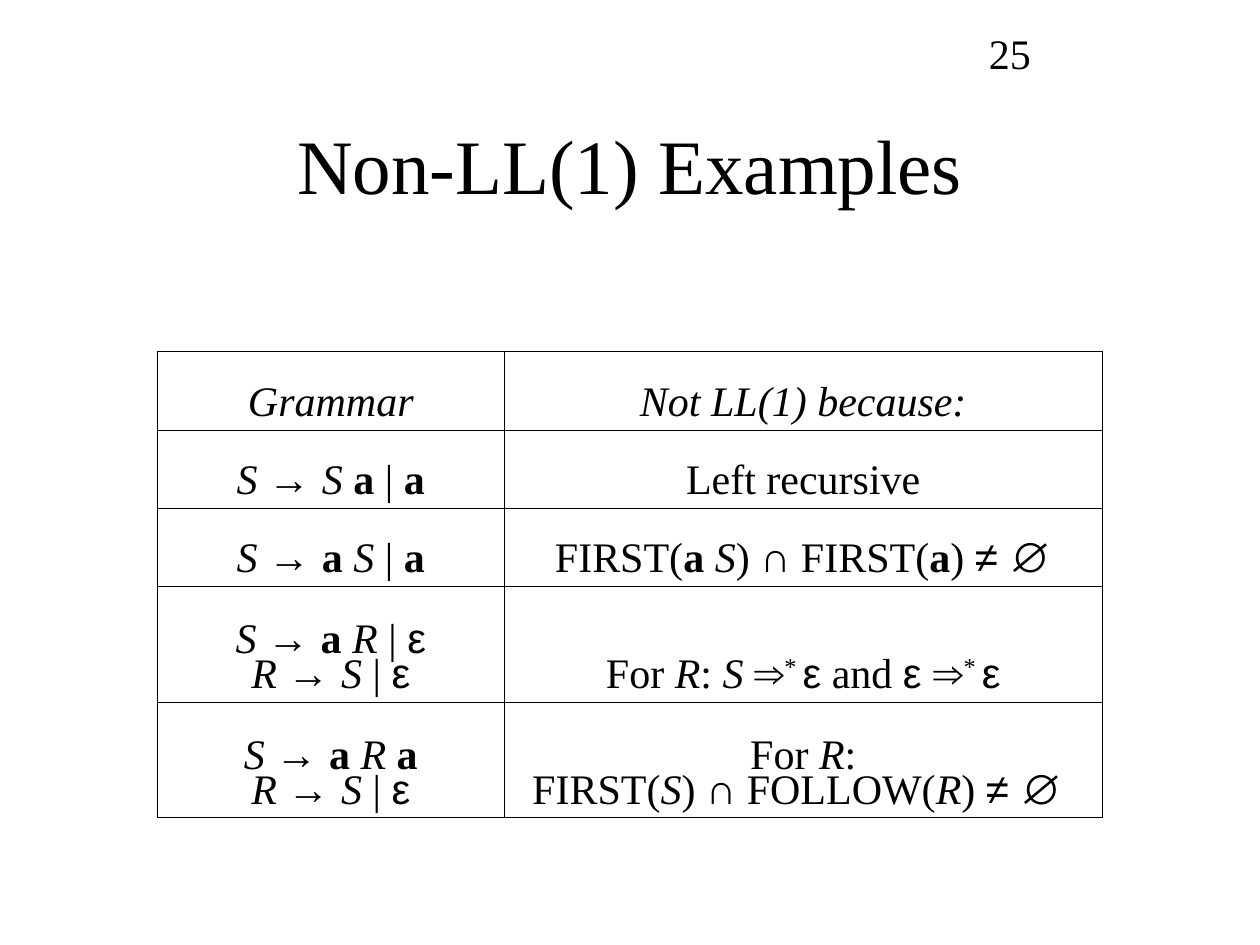
from dataclasses import dataclass
from itertools import groupby

from lxml.etree import SubElement
from pptx import Presentation
from pptx.dml.color import RGBColor
from pptx.enum.text import MSO_ANCHOR, PP_ALIGN
from pptx.oxml.ns import qn
from pptx.util import Inches, Pt


@dataclass(frozen=True)
class Theme:
    ink: str = "000000"
    serif: str = "Times New Roman"
    symbols: str = "Arial"
    title_size: int = 44
    body_size: int = 24
    rule_width: float = 0.06


THEME = Theme()

# Marks that switch a style on and off inside the cell texts
ITALIC, BOLD, RAISED, SYMBOL = MARKS = "_#^~"

COLUMN_WIDTHS = (2.75, 4.75)
ROW_HEIGHT = 0.62
EXTRA_LINE_HEIGHT = 0.3
EXAMPLES = [
    ("_Grammar_", "_Not LL(1) because:_"),
    ("_S _~→ ~_S _#a# | #a#", "Left recursive"),
    ("_S _~→ ~#a #_S_ | #a#", "FIRST(#a #_S_) ~∩~ FIRST(#a#) ~≠ ∅~"),
    ("_S _~→ ~#a #_R_ | ~ε~\n_R _~→ ~_S_ | ~ε~",
     "For _R_:_ S _~⇒~^* ^~ε~ and ~ε ⇒~^* ^~ε~"),
    ("_S _~→ ~#a #_R _#a#\n_R _~→ ~_S_ | ~ε~",
     "For _R_:\nFIRST(_S_) ~∩~ FOLLOW(_R_) ~≠ ∅ ~"),
]


def styled_pieces(marked):
    """Yield (text, active marks) for each stretch of one style."""
    active, letters = frozenset(), []
    for letter in marked:
        if letter in MARKS:
            active = active ^ {letter}
        else:
            letters.append((letter, active))
    for marks, group in groupby(letters, key=lambda pair: pair[1]):
        yield "".join(letter for letter, _ in group), marks


def write(paragraph, marked, size, align=PP_ALIGN.CENTER):
    paragraph.alignment = align
    paragraph.font.size = Pt(size)
    paragraph.font.color.rgb = RGBColor.from_string(THEME.ink)
    for text, marks in styled_pieces(marked):
        for position, line in enumerate(text.split("\n")):
            if position:
                paragraph.add_line_break()
            if not line:
                continue
            run = paragraph.add_run()
            run.text = line
            font = run.font
            font.name = THEME.symbols if SYMBOL in marks else THEME.serif
            font.italic = ITALIC in marks
            font.bold = BOLD in marks
            if RAISED in marks:
                font._element.set("baseline", "30000")


def add_line_of_text(slide, box, text, size, align, anchor):
    frame = slide.shapes.add_textbox(*map(Inches, box)).text_frame
    frame.word_wrap = True
    frame.vertical_anchor = anchor
    write(frame.paragraphs[0], text, size, align)


def add_cell_borders(cell):
    properties = cell._tc.get_or_add_tcPr()
    for side in ("a:lnL", "a:lnR", "a:lnT", "a:lnB"):
        line = SubElement(properties, qn(side), w=str(Pt(THEME.rule_width)))
        SubElement(SubElement(line, qn("a:solidFill")), qn("a:srgbClr"), val=THEME.ink)


def add_examples_table(slide, left, top):
    heights = [ROW_HEIGHT + EXTRA_LINE_HEIGHT * grammar.count("\n")
               for grammar, _ in EXAMPLES]
    box = (left, top, sum(COLUMN_WIDTHS), sum(heights))
    table = slide.shapes.add_table(
        len(heights), len(COLUMN_WIDTHS), *map(Inches, box)).table
    table.first_row = table.horz_banding = False
    for column, width in zip(table.columns, COLUMN_WIDTHS):
        column.width = Inches(width)
    for row, height, example in zip(table.rows, heights, EXAMPLES):
        row.height = Inches(height)
        for cell, marked in zip(row.cells, example):
            add_cell_borders(cell)
            cell.fill.background()
            cell.vertical_anchor = MSO_ANCHOR.BOTTOM
            paragraph = cell.text_frame.paragraphs[0]
            paragraph.line_spacing = 0.74
            paragraph.space_before = Pt(6)
            write(paragraph, marked, THEME.body_size)


def main():
    deck = Presentation()
    deck.slide_width, deck.slide_height = Inches(10), Inches(7.5)
    slide = deck.slides.add_slide(deck.slide_layouts[6])
    add_line_of_text(slide, (0.75, 0.67, 8.5, 1.25), "Non-LL(1) Examples",
                     THEME.title_size, PP_ALIGN.CENTER, MSO_ANCHOR.MIDDLE)
    add_examples_table(slide, 1.25, 2.79)
    add_line_of_text(slide, (7.75, 0.17, 2.08, 0.49), "25",
                     THEME.body_size, PP_ALIGN.LEFT, MSO_ANCHOR.TOP)
    deck.save("out.pptx")


if __name__ == "__main__":
    main()
